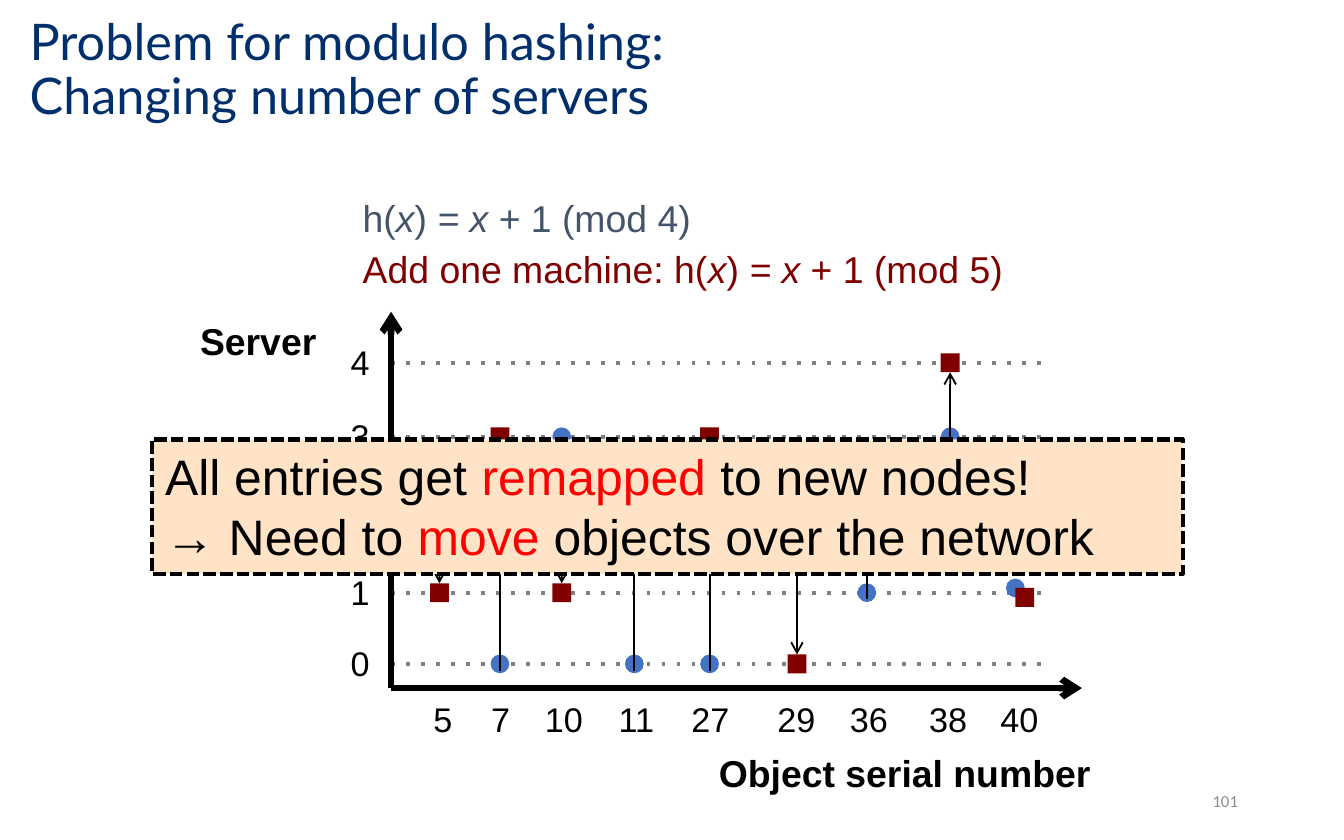
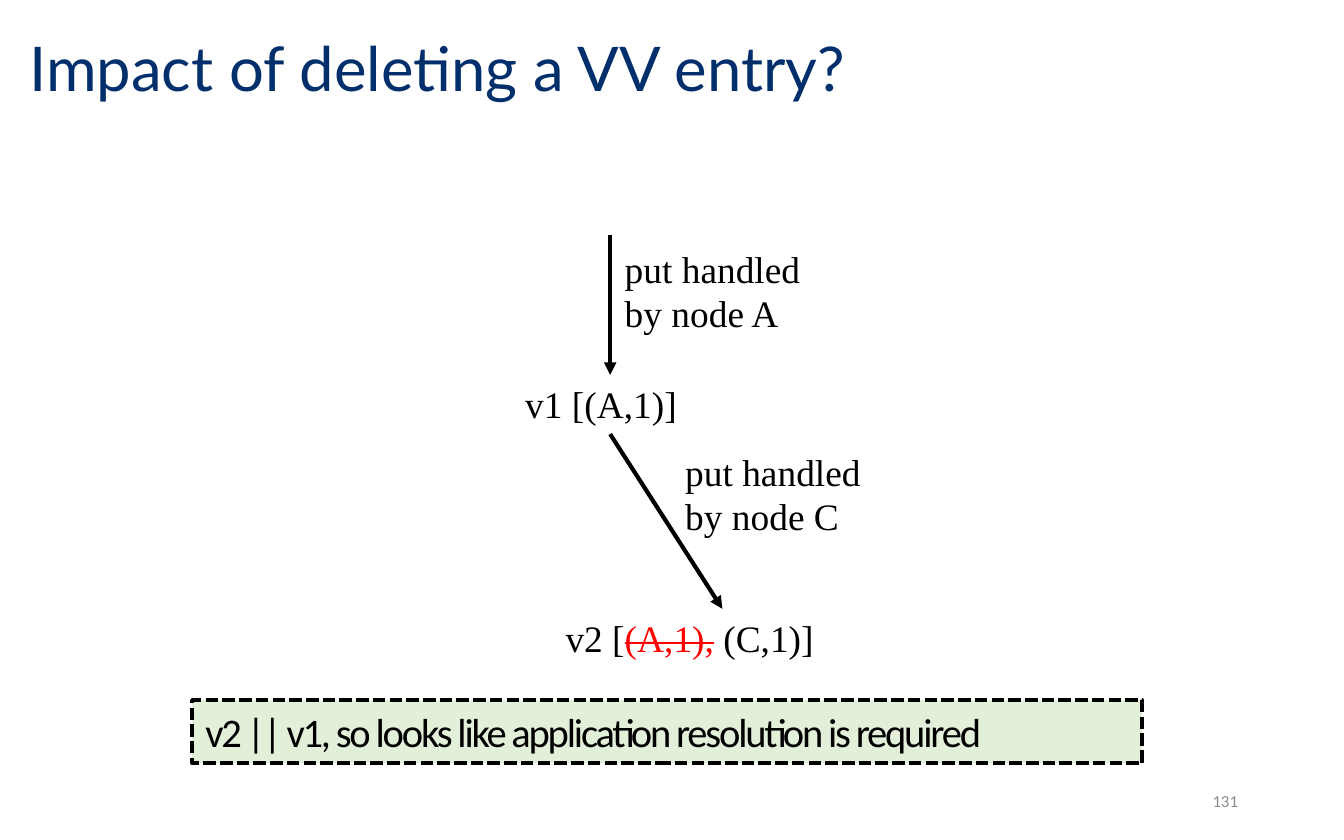
from lxml import etree
from pptx import Presentation, util as u
from pptx.dml.color import RGBColor
from pptx.enum import shapes as es, text as et
from pptx.oxml import ns

NAVY = RGBColor(0x00, 0x2F, 0x6C)
BLACK = RGBColor(0x00, 0x00, 0x00)
GRAY = RGBColor(0x80, 0x80, 0x80)
PALE = RGBColor(0x8C, 0x8C, 0x8C)
SLATE = RGBColor(0x44, 0x54, 0x6A)
BLUE = RGBColor(0x44, 0x72, 0xC4)
MAROON = RGBColor(0x80, 0x00, 0x00)
RED = RGBColor(0xFF, 0x00, 0x00)
PEACH = RGBColor(0xFF, 0xE3, 0xC7)
GREEN = RGBColor(0xE2, 0xF0, 0xD9)

SANS, SERIF, BODY, HEAD = "Arial", "Times New Roman", "Calibri", "Lato"
DOT = 0.14
AXIS_X, AXIS_Y = 2.91, 5.12
ROWS = {4: 2.7, 3: 3.25, 1: 4.41, 0: 4.94}

# serial, label centre, point x, server before, server after, arrow from, arrow to
ITEMS = [
    (5, 3.3, 3.27, None, 1, 4.02, None),
    (7, 3.73, 3.72, 0, 3, 4.99, None),
    (10, 4.2, 4.18, 3, 1, 3.44, None),
    (11, 4.75, 4.72, 0, None, 4.99, 3.9),
    (27, 5.29, 5.28, 0, 3, 4.99, None),
    (29, 5.93, 5.93, None, 0, 4.02, None),
    (36, 6.47, 6.45, 1, None, 4.46, 3.9),
    (38, 7.06, 7.07, 3, 4, 3.31, None),
    (40, 7.59, 7.59, 1, 1, None, None),
]
SHIFT = 0.035  # half the offset between overlapping marks


def box(*sizes):
    return [u.Inches(n) for n in sizes]


def style(para, size, face, color, bold=None):
    font = para.font
    font.size, font.name, font.bold = u.Pt(size), face, bold
    font.color.rgb = color


def write(frame, lines, size, face, color, bold=None, tight=None):
    """Fill a frame; a line is a list of strings or (string, "i" / "s" / colour...) runs."""
    for k, line in enumerate(lines):
        para = frame.paragraphs[0] if k == 0 else frame.add_paragraph()
        para.alignment = et.PP_ALIGN.LEFT
        style(para, size, face, color, bold)
        for part in line:
            words, *marks = (part,) if isinstance(part, str) else part
            run = para.add_run()
            run.text = words
            for mark in marks:
                if mark == "i":
                    run.font.italic = True
                elif mark == "s":
                    run._r.get_or_add_rPr().set("strike", "sngStrike")
                else:
                    run.font.color.rgb = mark
            if tight:
                run._r.get_or_add_rPr().set("spc", str(tight))


def label(slide, place, line, size=20, face=SANS, color=BLACK, bold=None, wrap=False):
    shape = slide.shapes.add_textbox(*box(*place))
    shape.text_frame.word_wrap = wrap
    shape.text_frame.auto_size = et.MSO_AUTO_SIZE.SHAPE_TO_FIT_TEXT
    write(shape.text_frame, [line], size, face, color, bold)
    return shape


def pen(line, color, width, dash=None, tip=None):
    line.color.rgb = color
    line.width = u.Pt(width)
    for tag, value, kind in (("a:prstDash", "val", dash), ("a:tailEnd", "type", tip)):
        if kind:
            etree.SubElement(line._get_or_add_ln(), ns.qn(tag)).set(value, kind)


def link(slide, start, end, width, color=BLACK, dash=None, tip=None):
    wire = slide.shapes.add_connector(es.MSO_CONNECTOR.STRAIGHT, *box(*start, *end))
    pen(wire.line, color, width, dash, tip)
    etree.SubElement(wire._element.spPr, ns.qn("a:effectLst"))
    return wire


def mark(slide, kind, x, y, color):
    """Put a small data mark centred on (x, y)."""
    shape = slide.shapes.add_shape(kind, *box(x - DOT / 2, y - DOT / 2, DOT, DOT))
    shape.shadow.inherit = False
    shape.fill.solid()
    shape.fill.fore_color.rgb = color
    shape.line.fill.background()
    return shape


def banner(slide, place, fill, lines, size, face, tight=None):
    shape = slide.shapes.add_shape(es.MSO_SHAPE.RECTANGLE, *box(*place))
    shape.shadow.inherit = False
    shape.fill.solid()
    shape.fill.fore_color.rgb = fill
    pen(shape.line, BLACK, 2.25, "sysDash")
    frame = shape.text_frame
    frame.word_wrap = True
    frame.vertical_anchor = et.MSO_ANCHOR.TOP
    frame.auto_size = et.MSO_AUTO_SIZE.SHAPE_TO_FIT_TEXT
    write(frame, lines, size, face, BLACK, tight=tight)


def begin(deck, title, size, number):
    """Add a slide with its title and page number."""
    slide = deck.slides.add_slide(deck.slide_layouts[5])
    head = slide.shapes.title
    head.left, head.top, head.width, head.height = box(0.12, 0.1, 8.52, 0.86)
    frame = head.text_frame
    frame.text = title
    frame.auto_size = et.MSO_AUTO_SIZE.NONE
    frame.vertical_anchor = et.MSO_ANCHOR.MIDDLE
    para = frame.paragraphs[0]
    para.alignment = et.PP_ALIGN.LEFT
    para.line_spacing = 0.9
    style(para, size, HEAD, NAVY)

    page = slide.shapes.add_textbox(*box(7.06, 5.79, 2.25, 0.33)).text_frame
    page.word_wrap = True
    page.vertical_anchor = et.MSO_ANCHOR.MIDDLE
    write(page, [[number]], 9, BODY, PALE)
    page.paragraphs[0].alignment = et.PP_ALIGN.RIGHT
    return slide


def axes(slide):
    for server, y in ROWS.items():
        link(slide, (AXIS_X, y), (7.78, y), 2, GRAY, "dot")
        label(slide, (2.51, y - 0.21, 0.35, 0.41), [str(server)], 18.3)
    link(slide, (AXIS_X, AXIS_Y), (8.05, AXIS_Y), 3.5, tip="arrow")
    link(slide, (AXIS_X, AXIS_Y), (AXIS_X, 2.32), 3.5, tip="arrow")
    label(slide, (1.39, 2.32, 1.07, 0.44), ["Server"], bold=True)
    label(slide, (5.25, 5.53, 2.99, 0.44), ["Object serial number"], bold=True)


def plot(slide):
    for serial, mid, x, old, new, start, end in ITEMS:
        wide = 0.35 if serial < 10 else 0.49
        label(slide, (mid - wide / 2, 5.15, wide, 0.41), [str(serial)], 18.3)
        shift = SHIFT if old == new else 0
        if old is not None:
            mark(slide, es.MSO_SHAPE.OVAL, x - shift, ROWS[old] - shift, BLUE)
        square = None
        if new is not None:
            square = mark(slide, es.MSO_SHAPE.RECTANGLE, x + shift, ROWS[new] + shift, MAROON)
        if start is not None:
            goal = ROWS[new] if square else end
            wire = link(slide, (x, start), (x, goal), 1, tip="arrow")
            if square:
                wire.end_connect(square, 0 if goal > start else 2)


def hashing(deck):
    slide = begin(deck, "Problem for modulo hashing:\vChanging number of servers", 27, "101")
    for y, wide, lead, count, color in (
        (1.4, 2.66, "h(", 4, SLATE),
        (1.78, 4.99, "Add one machine: h(", 5, MAROON),
    ):
        line = [lead, ("x", "i"), ")", (" = x ", "i"), f"+ 1 (mod {count})"]
        label(slide, (2.6, y, wide, 0.44), line, color=color)
    axes(slide)
    plot(slide)
    banner(slide, (1.13, 3.27, 7.67, 1), PEACH, [
        ["All entries get ", ("remapped ", RED), "to new nodes!"],
        ["→ Need to ", ("move ", RED), "objects over the network"],
    ], 26.7, SANS)


def vector(deck):
    slide = begin(deck, "Impact of deleting a VV entry?", 33, "131")

    def note(place, *line):
        return label(slide, place, line, face=SERIF, wrap=True)

    first = note((3.81, 2.79, 1.46, 0.44), "v1 [(A,1)]")
    second = note((4.11, 4.53, 2.53, 0.44), "v2 [", ("(A,1),", RED, "s"), " (C,1)]")
    for x, y, node in ((4.55, 1.78, "A"), (5, 3.29, "C")):
        note((x, y, 1.65, 0.77), f"put handled by node {node}")
    enter = link(slide, (4.54, 1.75), (4.54, 2.79), 2.25, tip="triangle")
    enter.end_connect(first, 0)
    step = link(slide, (4.54, 3.23), (5.38, 4.53), 2.25, tip="triangle")
    step.begin_connect(first, 2)
    step.end_connect(second, 0)
    banner(slide, (1.43, 5.21, 7.07, 0.47), GREEN,
           [["v2 || v1, so looks like application resolution is required"]],
           21.7, BODY, tight=-120)


def main():
    deck = Presentation()
    deck.slide_width, deck.slide_height = box(10, 6.25)
    hashing(deck)
    vector(deck)
    deck.save("out.pptx")


if __name__ == "__main__":
    main()
